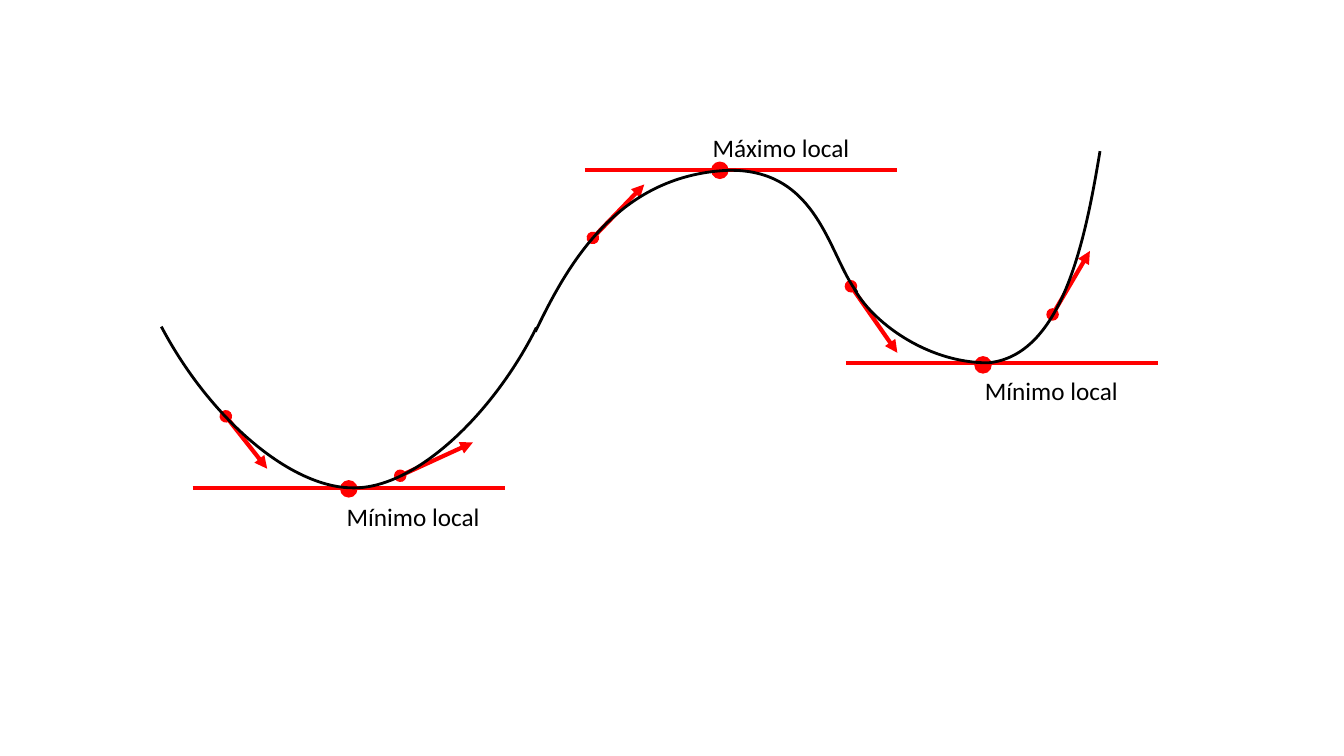
import pptx
import pptx.util
import pptx.dml.color
import pptx.enum.shapes
import pptx.enum.text
import pptx.oxml.ns
from lxml import etree
from pptx.util import Inches

RED, BLACK = "FF0000", "000000"
DOT = 0.16


def color(value):
    return pptx.dml.color.RGBColor.from_string(value)


def add_line(start, end, ends=()):
    c = graph.shapes.add_connector(
        pptx.enum.shapes.MSO_CONNECTOR.STRAIGHT, *map(Inches, start + end))
    c.line.color.rgb = color(RED)
    c.line.width = pptx.util.Pt(3)
    ln = c.line._get_or_add_ln()
    for tag, kind in ends:
        etree.SubElement(ln, pptx.oxml.ns.qn(tag), type=kind)
    etree.SubElement(c._element.spPr, pptx.oxml.ns.qn("a:effectLst"))


prs = pptx.Presentation()
prs.slide_width, prs.slide_height = Inches(13.33), Inches(7.5)
s = prs.slides.add_slide(prs.slide_layouts[6])
graph = s.shapes.add_group_shape()

gradients = [
    ((6.39, 1.83), (5.88, 2.36)),
    ((4.69, 4.39), (3.97, 4.72)),
    ((8.9, 3.5), (8.44, 2.84)),
    ((2.65, 4.65), (2.24, 4.13)),
    ((10.81, 2.49), (10.44, 3.12)),
]
for tip, dot in gradients:
    add_line(tip, dot, [("a:headEnd", "triangle"), ("a:tailEnd", "oval")])

tangents = [(8.39, 3.6), (5.8, 1.69), (1.91, 4.84)]
for x, y in tangents:
    add_line((x, y), (x + 3.1, y))

extrema = [(9.67, 3.54), (7.06, 1.61), (3.38, 4.77)]
for x, y in extrema:
    sp = graph.shapes.add_shape(
        pptx.enum.shapes.MSO_SHAPE.OVAL, Inches(x), Inches(y), Inches(DOT), Inches(DOT))
    sp.shadow.inherit = False
    sp.fill.solid()
    sp.fill.fore_color.rgb = color(RED)
    sp.line.color.rgb = color(RED)
    sp.line.width = pptx.util.Pt(1)

curves = [
    [(1.6, 3.24), (2.08, 4.15), (2.88, 4.84), (3.5, 4.84),
     (4.12, 4.85), (4.89, 4.11), (5.32, 3.25)],
    [(8.5, 2.9), (8.22, 2.54), (8.12, 1.67), (7.22, 1.69),
     (6.09, 1.74), (5.6, 2.69), (5.31, 3.29)],
    [(8.47, 2.86), (8.64, 3.18), (9.18, 3.6), (9.8, 3.6),
     (10.53, 3.53), (10.76, 2.41), (10.91, 1.5)],
]
for controls in curves:
    points = [(Inches(x), Inches(y)) for x, y in controls]
    builder = graph.shapes.build_freeform(*points[0])
    builder.add_line_segments(points[1:], close=False)
    sp = builder.convert_to_shape()
    segments = list(sp._element.iter(pptx.oxml.ns.qn("a:lnTo")))
    outline = segments[0].getparent()
    for first in range(0, len(segments), 3):
        bezier = etree.SubElement(outline, pptx.oxml.ns.qn("a:cubicBezTo"))
        for segment in segments[first:first + 3]:
            bezier.append(segment[0])
            outline.remove(segment)
    sp.shadow.inherit = False
    sp.fill.background()
    sp.line.color.rgb = color(BLACK)
    sp.line.width = pptx.util.Pt(2)

labels = [
    ("Mínimo local", 3.34, 4.92, 1.55),
    ("Mínimo local", 9.67, 3.67, 1.55),
    ("Máximo local", 6.97, 1.26, 1.57),
]
for text, x, y, width in labels:
    sp = graph.shapes.add_textbox(Inches(x), Inches(y), Inches(width), Inches(0.4))
    tf = sp.text_frame
    tf.word_wrap = False
    tf.auto_size = pptx.enum.text.MSO_AUTO_SIZE.SHAPE_TO_FIT_TEXT
    tf.text = text
    r = tf.paragraphs[0].runs[0]
    r.font.name = "Calibri"
    r.font.size = pptx.util.Pt(18)
    r.font.color.rgb = color(BLACK)

prs.save("out.pptx")
